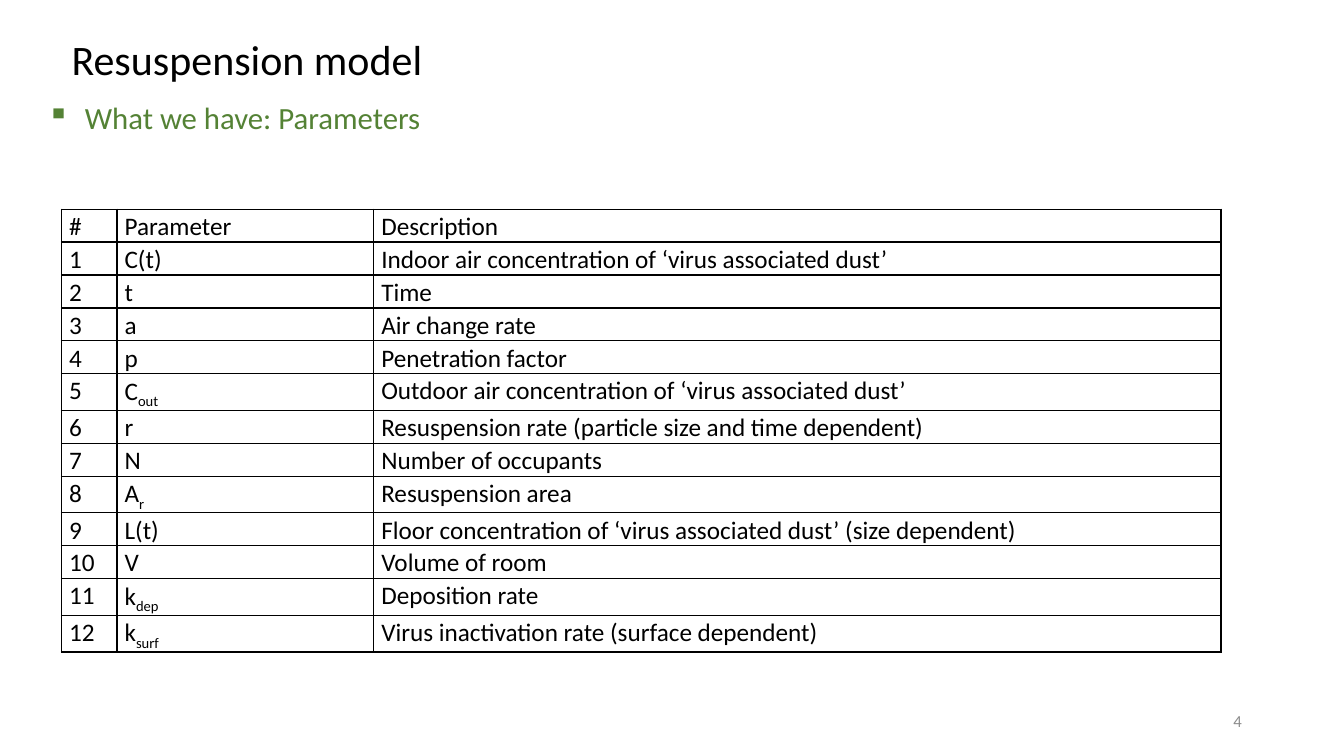
from lxml.etree import SubElement
from pptx import Presentation
from pptx.dml.color import RGBColor
from pptx.enum.text import MSO_ANCHOR, MSO_AUTO_SIZE, PP_ALIGN
from pptx.oxml.ns import qn
from pptx.util import Cm, Pt

BLACK = RGBColor(0x00, 0x00, 0x00)
GREEN = RGBColor(0x54, 0x82, 0x35)
GRAY = RGBColor(0x8C, 0x8C, 0x8C)

WIDTHS = (1.4, 6.47, 21.35)
ROW = 0.78
HEADER = ("#", "Parameter", "Description")
# An underscore starts a subscript.
PARAMS = (
    ("C(t)", "Indoor air concentration of ‘virus associated dust’"),
    ("t", "Time"),
    ("a", "Air change rate"),
    ("p", "Penetration factor"),
    ("C_out", "Outdoor air concentration of ‘virus associated dust’"),
    ("r", "Resuspension rate (particle size and time dependent)"),
    ("N", "Number of occupants"),
    ("A_r", "Resuspension area"),
    ("L(t)", "Floor concentration of ‘virus associated dust’ (size dependent)"),
    ("V", "Volume of room"),
    ("k_dep", "Deposition rate"),
    ("k_surf", "Virus inactivation rate (surface dependent)"),
)


class Page:
    """The current slide and its style."""

    face = "Calibri"

    def __init__(self, deck):
        """Add a title-only slide to the deck."""
        self.slide = deck.slides.add_slide(deck.slide_layouts[5])

    def label(self, frame, text, size, color, gap=1.0, align=PP_ALIGN.LEFT):
        """Fill a frame with one styled paragraph and return it."""
        para = frame.paragraphs[0]
        base, _, sub = text.partition("_")
        para.add_run().text = base
        if sub:
            run = para.add_run()
            run.text = sub
            run._r.get_or_add_rPr().set("baseline", "-25000")
        para.font.name, para.font.size = self.face, Pt(size)
        para.font.color.rgb = color
        para.line_spacing, para.alignment = gap, align
        return para

    def title(self, text, left, top, width, height):
        """Place and format the title."""
        shape = self.slide.shapes.title
        shape.left, shape.top = Cm(left), Cm(top)
        shape.width, shape.height = Cm(width), Cm(height)
        frame = shape.text_frame
        frame.auto_size = MSO_AUTO_SIZE.NONE
        frame.vertical_anchor = MSO_ANCHOR.TOP
        self.label(frame, text, 30, BLACK, 0.9)

    def box(self, left, top, width, height):
        """Add a wrapping text box and return its frame."""
        shape = self.slide.shapes.add_textbox(
            Cm(left), Cm(top), Cm(width), Cm(height))
        shape.text_frame.word_wrap = True
        return shape.text_frame

    def bullet(self, text, *place):
        """Add a line of text with a square bullet."""
        para = self.label(self.box(*place), text, 22, GREEN, 1.07)
        props = para._p.get_or_add_pPr()
        props.set("marL", str(Cm(0.95)))
        props.set("indent", str(-Cm(0.95)))
        mark = props.makeelement(qn("a:buChar"), {"char": "▪"})
        props.find(qn("a:lnSpc")).addnext(mark)

    def number(self, text, *place):
        """Add the page number."""
        frame = self.box(*place)
        frame.vertical_anchor = MSO_ANCHOR.MIDDLE
        self.label(frame, text, 12, GRAY, align=PP_ALIGN.RIGHT)

    def border(self, cell):
        """Draw a thin black line on each side of a cell."""
        props = cell._tc.get_or_add_tcPr()
        for spot, side in enumerate(("lnL", "lnR", "lnT", "lnB")):
            line = props.makeelement(qn(f"a:{side}"), {"w": str(Pt(1))})
            fill = SubElement(line, qn("a:solidFill"))
            SubElement(fill, qn("a:srgbClr"), val=str(BLACK))
            props.insert(spot, line)

    def table(self, rows, left, top):
        """Add a plain ruled table."""
        grid = self.slide.shapes.add_table(
            len(rows), len(WIDTHS), Cm(left), Cm(top),
            Cm(sum(WIDTHS)), Cm(ROW * len(rows))).table
        grid.first_row = grid.horz_banding = False
        for column, width in zip(grid.columns, WIDTHS):
            column.width = Cm(width)
        for line, texts in zip(grid.rows, rows):
            line.height = Cm(ROW)
            for cell, text in zip(line.cells, texts):
                cell.margin_left = cell.margin_right = Cm(0.19)
                cell.margin_top = cell.margin_bottom = 0
                cell.fill.background()
                self.border(cell)
                self.label(cell.text_frame, text, 18, BLACK, 1.07)


deck = Presentation()
deck.slide_width, deck.slide_height = Cm(33.87), Cm(19.05)
page = Page(deck)
page.title("Resuspension model", 1.55, 0.86, 29.21, 1.73)
rows = [HEADER] + [(str(n), *pair) for n, pair in enumerate(PARAMS, 1)]
page.table(rows, 1.55, 5.27)
page.bullet("What we have: Parameters", 0.94, 2.31, 27.28, 1.22)
page.number("4", 23.93, 17.65, 7.62, 1.02)
deck.save("out.pptx")
